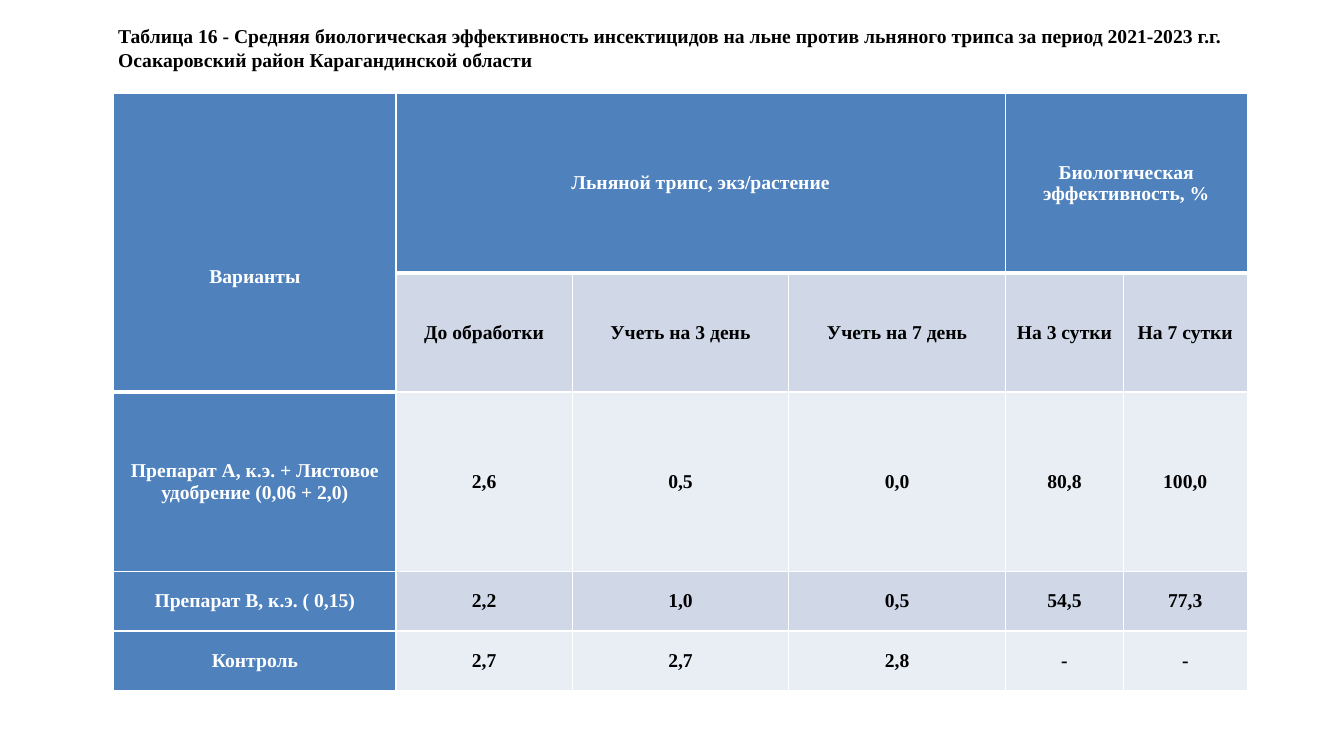
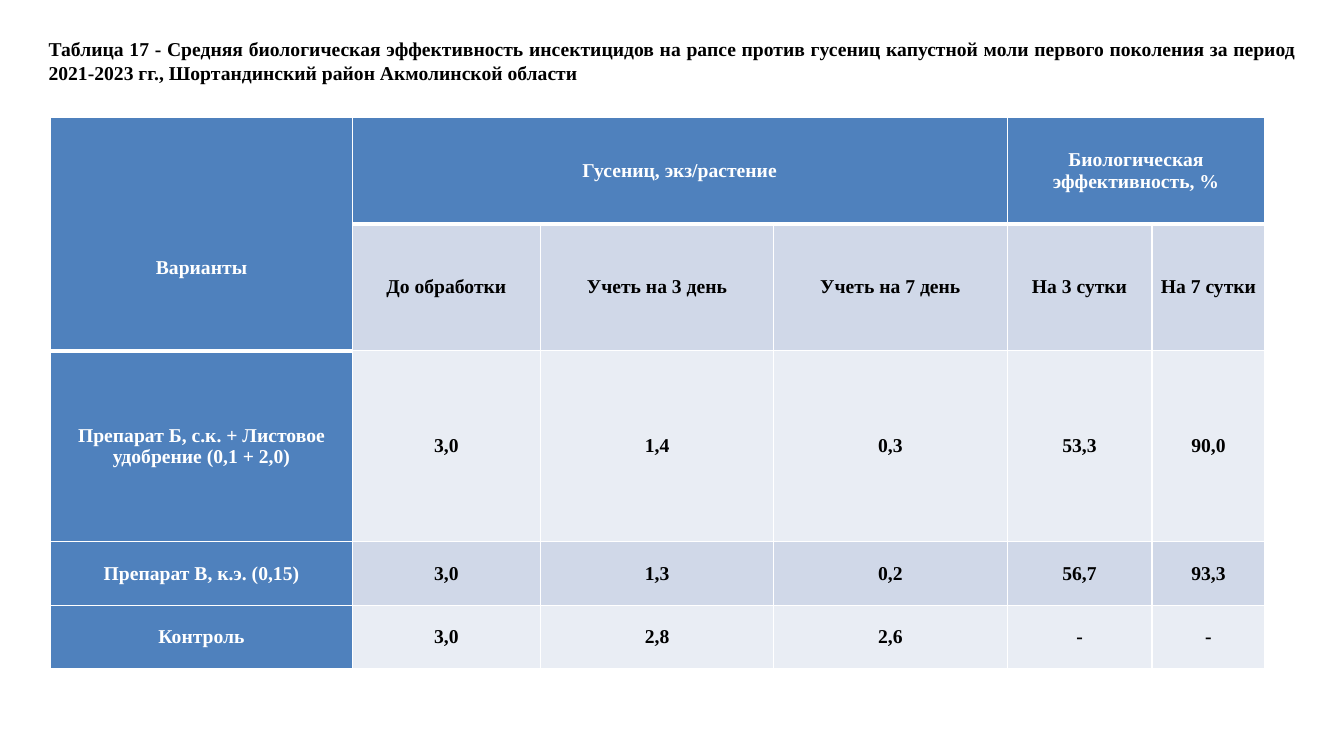
import lxml.etree
import pptx
import pptx.dml.color
import pptx.enum.text
import pptx.oxml.ns
import pptx.util

Cm = pptx.util.Cm
Pt = pptx.util.Pt
qn = pptx.oxml.ns.qn
ALIGN = pptx.enum.text.PP_ALIGN
ANCHOR = pptx.enum.text.MSO_ANCHOR

COLORS = {
    "header": "4F81BD",
    "band_dark": "D0D8E8",
    "band_light": "E9EDF4",
    "white": "FFFFFF",
    "black": "000000",
}
FONT = {"name": "Times New Roman", "size": Pt(14), "bold": True}
CELL = {
    "margin_left": Cm(0.18),
    "margin_right": Cm(0.18),
    "margin_top": 0,
    "margin_bottom": 0,
    "vertical_anchor": ANCHOR.MIDDLE,
}
TITLE = {
    "word_wrap": True,
    "auto_size": pptx.enum.text.MSO_AUTO_SIZE.NONE,
    "vertical_anchor": ANCHOR.MIDDLE,
}
TABLE = {"first_row": False, "horz_banding": False}
SUBHEADS = ["До обработки", "Учеть на 3 день", "Учеть на 7 день", "На 3 сутки", "На 7 сутки"]

SLIDES = [
    {
        "title": [
            "Таблица 16 - Средняя биологическая эффективность инсектицидов на льне "
            "против льняного трипса за период 2021-2023 г.г.",
            "Осакаровский район Карагандинской области",
        ],
        "title_box": (2.72, 0.48, 28.73, 1.45),
        "table_at": (2.87, 2.36),
        "columns": [7.11, 4.44, 5.46, 5.46, 2.97, 3.12],
        "rows": [4.52, 3, 4.52, 1.5, 1.5],
        "pest": "Льняной трипс, экз/растение",
        "results": [
            ["Препарат А, к.э. + Листовое удобрение (0,06 + 2,0)", "2,6", "0,5", "0,0", "80,8", "100,0"],
            ["Препарат В, к.э. ( 0,15)", "2,2", "1,0", "0,5", "54,5", "77,3"],
            ["Контроль", "2,7", "2,7", "2,8", "-", "-"],
        ],
    },
    {
        "title": [
            "Таблица 17 - Средняя биологическая эффективность инсектицидов на рапсе "
            "против гусениц капустной моли первого поколения за период 2021-2023 гг., "
            "Шортандинский район Акмолинской области",
        ],
        "title_box": (0.97, 0.81, 31.95, 1.45),
        "table_at": (1.28, 2.97),
        "columns": [7.6, 4.74, 5.88, 5.88, 3.65, 2.85],
        "rows": [2.67, 3.2, 4.81, 1.6, 1.6],
        "pest": "Гусениц, экз/растение",
        "results": [
            ["Препарат Б, с.к. + Листовое удобрение (0,1 + 2,0)", "3,0", "1,4", "0,3", "53,3", "90,0"],
            ["Препарат В, к.э. (0,15)", "3,0", "1,3", "0,2", "56,7", "93,3"],
            ["Контроль", "3,0", "2,8", "2,6", "-", "-"],
        ],
    },
]


def apply_format(target, values):
    """Set each named attribute of the target."""
    for name, value in values.items():
        setattr(target, name, value)


def format_paragraph(paragraph, text, color, alignment):
    """Write one paragraph in the shared font."""
    paragraph.text = text
    paragraph.alignment = alignment
    paragraph.space_before = Pt(0)
    apply_format(paragraph.font, FONT)
    paragraph.font.color.rgb = pptx.dml.color.RGBColor.from_string(COLORS[color])


def add_title(slide, lines, box):
    """Place the table caption in the title placeholder."""
    title = slide.shapes.title
    apply_format(title, dict(zip(("left", "top", "width", "height"), map(Cm, box))))
    frame = title.text_frame
    apply_format(frame, TITLE)
    for index, line in enumerate(lines):
        paragraph = frame.add_paragraph() if index else frame.paragraphs[0]
        format_paragraph(paragraph, line, "black", ALIGN.JUSTIFY)


def add_borders(cell, row, column):
    """Draw white cell borders, thicker below the header."""
    header_end = 0 if column else 1
    thick_sides = {"lnT": row == header_end + 1, "lnB": row <= header_end}
    properties = cell._tc.get_or_add_tcPr()
    for side in ("lnL", "lnR", "lnT", "lnB"):
        width = Pt(3 if thick_sides.get(side) else 1)
        line = lxml.etree.SubElement(properties, qn("a:" + side), w=str(width))
        fill = lxml.etree.SubElement(line, qn("a:solidFill"))
        lxml.etree.SubElement(fill, qn("a:srgbClr"), val=COLORS["white"])


def format_cell(cell, row, column, text):
    """Fill, frame and write one cell."""
    add_borders(cell, row, column)
    is_header = row == 0 or column == 0
    fill = "header" if is_header else ("band_dark" if row % 2 else "band_light")
    cell.fill.solid()
    cell.fill.fore_color.rgb = pptx.dml.color.RGBColor.from_string(COLORS[fill])
    apply_format(cell, CELL)
    color = "white" if is_header else "black"
    format_paragraph(cell.text_frame.paragraphs[0], text, color, ALIGN.CENTER)


def add_results_table(slide, content):
    """Build the table with its two-level header."""
    left, top = content["table_at"]
    columns, rows = content["columns"], content["rows"]
    texts = [
        ["Варианты", content["pest"], "", "", "Биологическая эффективность, %", ""],
        ["", *SUBHEADS],
        *content["results"],
    ]
    shape = slide.shapes.add_table(
        len(rows), len(columns), Cm(left), Cm(top), Cm(sum(columns)), Cm(sum(rows))
    )
    table = shape.table
    apply_format(table, TABLE)
    for column, width in zip(table.columns, columns):
        column.width = Cm(width)
    for row, height in zip(table.rows, rows):
        row.height = Cm(height)
    for row, line in enumerate(texts):
        for column, text in enumerate(line):
            format_cell(table.cell(row, column), row, column, text)
    for first, last in (((0, 0), (1, 0)), ((0, 1), (0, 3)), ((0, 4), (0, 5))):
        table.cell(*first).merge(table.cell(*last))
    table.cell(0, 0).margin_top = Cm(1.7)


def main():
    """Build and save the presentation."""
    presentation = pptx.Presentation()
    presentation.slide_width = Cm(33.87)
    presentation.slide_height = Cm(19.05)
    for content in SLIDES:
        slide = presentation.slides.add_slide(presentation.slide_layouts[5])
        add_results_table(slide, content)
        add_title(slide, content["title"], content["title_box"])
    presentation.save("out.pptx")


if __name__ == "__main__":
    main()
